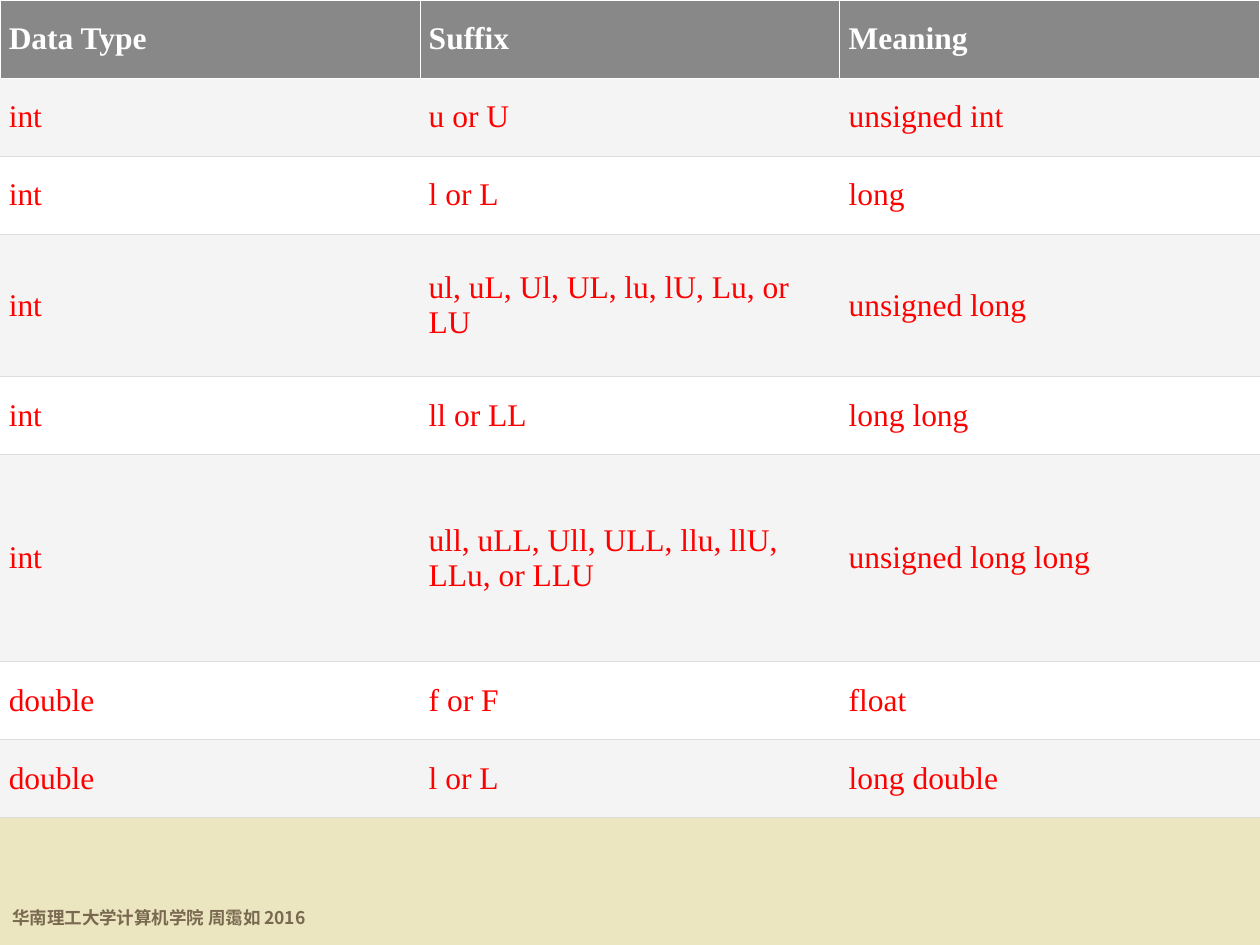
from lxml.etree import SubElement
from pptx import Presentation
from pptx.dml.color import RGBColor
from pptx.enum.text import MSO_ANCHOR, MSO_AUTO_SIZE
from pptx.oxml.ns import qn
from pptx.util import Inches, Pt


def rgb(value):
    return RGBColor.from_string(value)


def border(cell, side, color=None):
    ln = SubElement(cell._tc.get_or_add_tcPr(), qn(f"a:ln{side}"), w=str(Pt(0.6)))
    if color:
        SubElement(SubElement(ln, qn("a:solidFill")), qn("a:srgbClr"), val=color)
    else:
        SubElement(ln, qn("a:noFill"))


rows = [
    (0.62, "Data Type", "Suffix", "Meaning"),
    (0.62, "int", "u or U", "unsigned int"),
    (0.62, "int", "l or L", "long"),
    (1.13, "int", "ul, uL, Ul, UL, lu, lU, Lu, or LU", "unsigned long"),
    (0.62, "int", "ll or LL", "long long"),
    (1.64, "int", "ull, uLL, Ull, ULL, llu, llU, LLu, or LLU", "unsigned long long"),
    (0.62, "double", "f or F", "float"),
    (0.62, "double", "l or L", "long double"),
]

prs = Presentation()
prs.slide_width, prs.slide_height = Inches(10), Inches(7.5)
s = prs.slides.add_slide(prs.slide_layouts[6])
s.background.fill.solid()
s.background.fill.fore_color.rgb = rgb("ECE6C0")

sp = s.shapes.add_textbox(Inches(0), Inches(7.08), Inches(2.66), Inches(0.34))
tf = sp.text_frame
tf.word_wrap = False
tf.auto_size = MSO_AUTO_SIZE.SHAPE_TO_FIT_TEXT
p = tf.paragraphs[0]
p.line_spacing = 1.4
r = p.add_run()
r.text = "华南理工大学计算机学院 周霭如 2016"
r.font.size = Pt(10)
r.font.bold = True
r.font.color.rgb = rgb("786950")
r.font.name = "Noto Sans CJK SC"
SubElement(r.font._element, qn("a:ea"), typeface="Noto Sans CJK SC")

height = sum(row[0] for row in rows)
table = s.shapes.add_table(len(rows), 3, 0, 0, Inches(10), Inches(height)).table
for col in table.columns:
    col.width = Inches(10 / 3)

for i, (row_height, *texts) in enumerate(rows):
    table.rows[i].height = Inches(row_height)
    header = i == 0
    fill = "888888" if header else "F4F4F4" if i % 2 else "FFFFFF"
    for j, text in enumerate(texts):
        cell = table.cell(i, j)
        cell.vertical_anchor = MSO_ANCHOR.MIDDLE
        cell.margin_left = cell.margin_right = Inches(0.07)
        cell.margin_top = cell.margin_bottom = Inches(0.03)
        for side in "LR":
            border(cell, side, "FFFFFF" if header else None)
        border(cell, "T", "FFFFFF" if i < 2 else "DDDDDD")
        border(cell, "B", "FFFFFF" if header else "DDDDDD")
        cell.fill.solid()
        cell.fill.fore_color.rgb = rgb(fill)
        r = cell.text_frame.paragraphs[0].add_run()
        r.text = text
        r.font.name = "Times New Roman"
        r.font.size = Pt(18)
        r.font.bold = header
        r.font.color.rgb = rgb("FFFFFF" if header else "FF0000")

prs.save("out.pptx")
